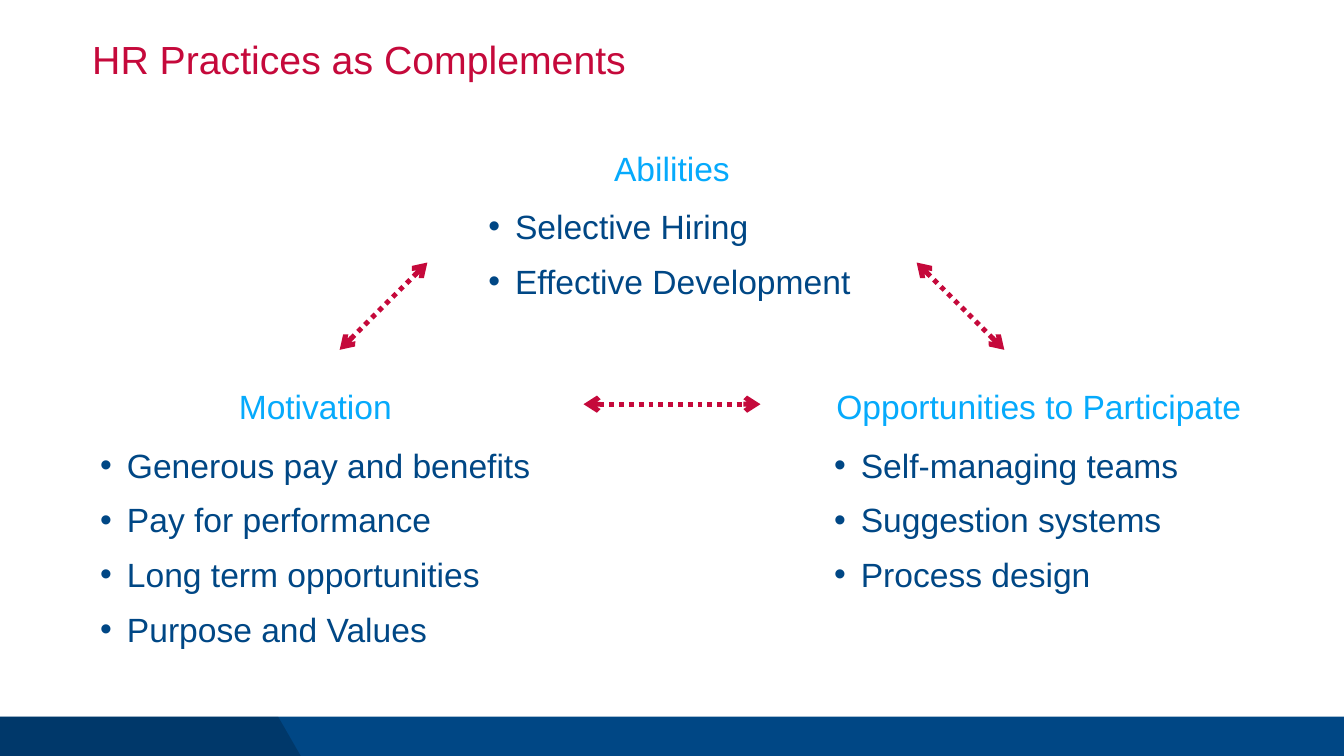
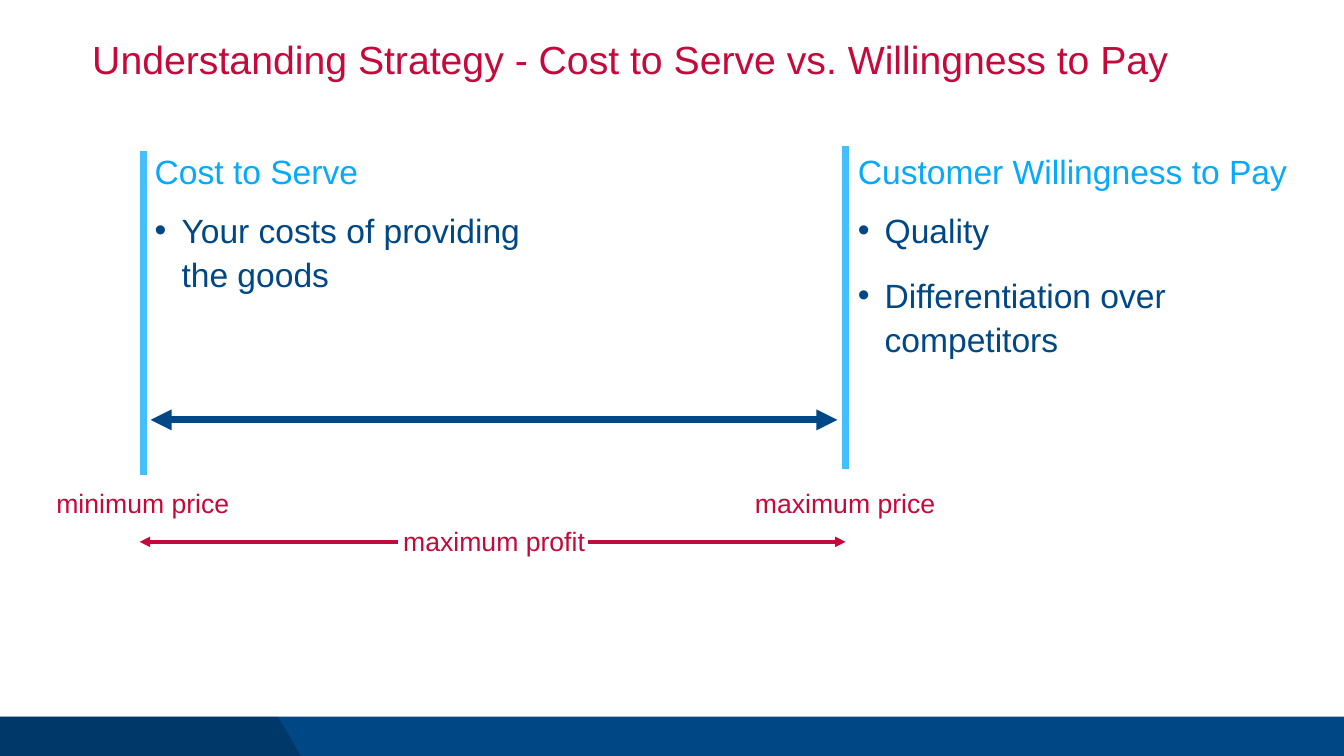
from pptx import Presentation
from pptx.dml.color import RGBColor
from pptx.enum.dml import MSO_LINE
from pptx.enum.shapes import MSO_CONNECTOR, MSO_SHAPE
from pptx.enum.text import MSO_ANCHOR, MSO_AUTO_SIZE, PP_ALIGN
from pptx.oxml.ns import qn
from pptx.util import Cm, Pt
from lxml.etree import SubElement

# Shared look
NAVY = RGBColor(0x00, 0x47, 0x85)
SKY = RGBColor(0x06, 0xAA, 0xFC)
PALE_SKY = RGBColor(0x44, 0xBF, 0xFD)
CRIMSON = RGBColor(0xC5, 0x09, 0x3B)
BLACK = RGBColor(0, 0, 0)
FONT = "Arial"

# Shared measures in centimetres
PAGE_WIDTH, PAGE_HEIGHT = 67.74, 38.1
BAND_TOP = 36.12
BAND_HEIGHT = PAGE_HEIGHT - BAND_TOP
HEADING_HEIGHT = 3.07
LIST_OFFSET = 3.35
BULLET_INDENT = 1.35


def style_paragraph(para, size, color, line_spacing=None, space_before=None):
    para.line_spacing = line_spacing
    if space_before is not None:
        para.space_before = Pt(space_before)
    for span in para.runs:
        span.font.name = FONT
        span.font.size = Pt(size)
        span.font.color.rgb = color


def add_bullet(para):
    properties = para._p.get_or_add_pPr()
    properties.set("marL", str(Cm(BULLET_INDENT)))
    properties.set("indent", str(-Cm(BULLET_INDENT)))
    SubElement(properties, qn("a:buFont"), typeface=FONT)
    SubElement(properties, qn("a:buChar"), char="•")


def add_text_frame(page, left, top, width, height, margin=0.0):
    box = page.shapes.add_textbox(Cm(left), Cm(top), Cm(width), Cm(height))
    frame = box.text_frame
    frame.word_wrap = True
    frame.margin_left = frame.margin_right = Cm(margin)
    frame.margin_top = frame.margin_bottom = Cm(margin)
    return frame


def fill_plain(shape, color):
    shape.shadow.inherit = False
    shape.fill.solid()
    shape.fill.fore_color.rgb = color
    shape.line.fill.background()


def add_band(page):
    band = page.shapes.add_shape(MSO_SHAPE.RECTANGLE, 0, Cm(BAND_TOP),
                                 Cm(PAGE_WIDTH), Cm(BAND_HEIGHT))
    fill_plain(band, NAVY)

    # Darker slanted corner
    builder = page.shapes.build_freeform(0, Cm(BAND_TOP))
    builder.add_line_segments([
        (Cm(14.02), Cm(BAND_TOP)),
        (Cm(15.16), Cm(PAGE_HEIGHT)),
        (0, Cm(PAGE_HEIGHT)),
    ])
    corner = builder.convert_to_shape()
    fill_plain(corner, BLACK)
    color = next(corner.element.spPr.iter(qn("a:srgbClr")))
    SubElement(color, qn("a:alpha"), val="20000")


def add_page(deck, title):
    page = deck.slides.add_slide(deck.slide_layouts[6])
    add_band(page)
    frame = add_text_frame(page, 4.65, 2.03, 58.42, 2.67)
    frame.text = title
    style_paragraph(frame.paragraphs[0], 56, CRIMSON, 0.9)
    return page


def add_topic(page, heading, items, left, top, width, list_height,
              list_width=None, align=PP_ALIGN.LEFT, item_space=15):
    """Heading with a bulleted list below it."""
    frame = add_text_frame(page, left, top, width, HEADING_HEIGHT)
    frame.vertical_anchor = MSO_ANCHOR.MIDDLE
    frame.text = heading
    frame.paragraphs[0].alignment = align
    style_paragraph(frame.paragraphs[0], 48, SKY, 1.1, 30)

    frame = add_text_frame(page, left, top + LIST_OFFSET,
                           list_width or width, list_height)
    frame.text = "\n".join(items)
    for para in frame.paragraphs:
        style_paragraph(para, 48, NAVY, 1.1, item_space)
        add_bullet(para)


def add_label(page, text, left, top, width):
    frame = add_text_frame(page, left, top, width, 1.98, margin=0.25)
    frame.word_wrap = False
    frame.auto_size = MSO_AUTO_SIZE.SHAPE_TO_FIT_TEXT
    frame.text = text
    style_paragraph(frame.paragraphs[0], 38, CRIMSON)


def add_line(page, start, end, color, weight, head=None, tail=None, dash=None):
    connector = page.shapes.add_connector(
        MSO_CONNECTOR.STRAIGHT, *(Cm(value) for value in (*start, *end)))
    connector.line.color.rgb = color
    connector.line.width = Pt(weight)
    if dash:
        connector.line.dash_style = dash
    outline = connector.line._get_or_add_ln()
    for name, kind in (("a:headEnd", head), ("a:tailEnd", tail)):
        if kind:
            SubElement(outline, qn(name), type=kind)
    SubElement(connector.element.spPr, qn("a:effectLst"))


def build_practices(deck):
    page = add_page(deck, "HR Practices as Complements")
    topics = [
        ("Motivation",
         ["Generous pay and benefits", "Pay for performance",
          "Long term opportunities", "Purpose and Values"],
         5.05, 18.85, 21.69, 14.12),
        ("Opportunities to Participate",
         ["Self-managing teams", "Suggestion systems", "Process design"],
         42.04, 18.85, 20.65, 14.12),
        ("Abilities",
         ["Selective Hiring", "Effective Development"],
         24.61, 6.83, 18.52, 6.53),
    ]
    for topic in topics:
        add_topic(page, *topic, align=PP_ALIGN.CENTER)

    # Dotted arrows of the triangle, the slanted pair mirrored
    low, high = (17.12, 17.63), (21.54, 13.23)
    arrows = [
        (low, high),
        ((PAGE_WIDTH - low[0], low[1]), (PAGE_WIDTH - high[0], high[1])),
        ((29.41, 20.37), (38.33, 20.37)),
    ]
    for start, end in arrows:
        add_line(page, start, end, CRIMSON, 7, "arrow", "arrow",
                 MSO_LINE.ROUND_DOT)


def build_strategy(deck):
    page = add_page(
        deck, "Understanding Strategy - Cost to Serve vs. Willingness to Pay")
    add_topic(page, "Cost to Serve", ["Your costs of providing the goods"],
              7.8, 7.01, 23.98, 7.9, list_width=18.87, item_space=30)
    add_topic(page, "Customer Willingness to Pay",
              ["Quality", "Differentiation over competitors"],
              43.24, 7.01, 21.88, 7.9, item_space=30)

    # Price limits and the range between them
    for x, bottom in ((7.24, 23.93), (42.6, 23.65)):
        add_line(page, (x, bottom), (x, bottom - 16.31), PALE_SKY, 10)
    add_line(page, (7.59, 21.16), (42.21, 21.16), NAVY, 10,
             "triangle", "triangle")

    # Price and profit labels
    add_label(page, "minimum price", 2.59, 24.31, 9.25)
    add_label(page, "maximum price", 37.8, 24.31, 9.63)
    add_label(page, "maximum profit", 20.07, 26.21, 9.7)
    for inner, outer in ((20.04, 7.04), (29.62, 42.62)):
        add_line(page, (inner, 27.31), (outer, 27.31), CRIMSON, 5,
                 tail="triangle")


def main():
    deck = Presentation()
    deck.slide_width = Cm(PAGE_WIDTH)
    deck.slide_height = Cm(PAGE_HEIGHT)
    build_practices(deck)
    build_strategy(deck)
    deck.save("out.pptx")


if __name__ == "__main__":
    main()
